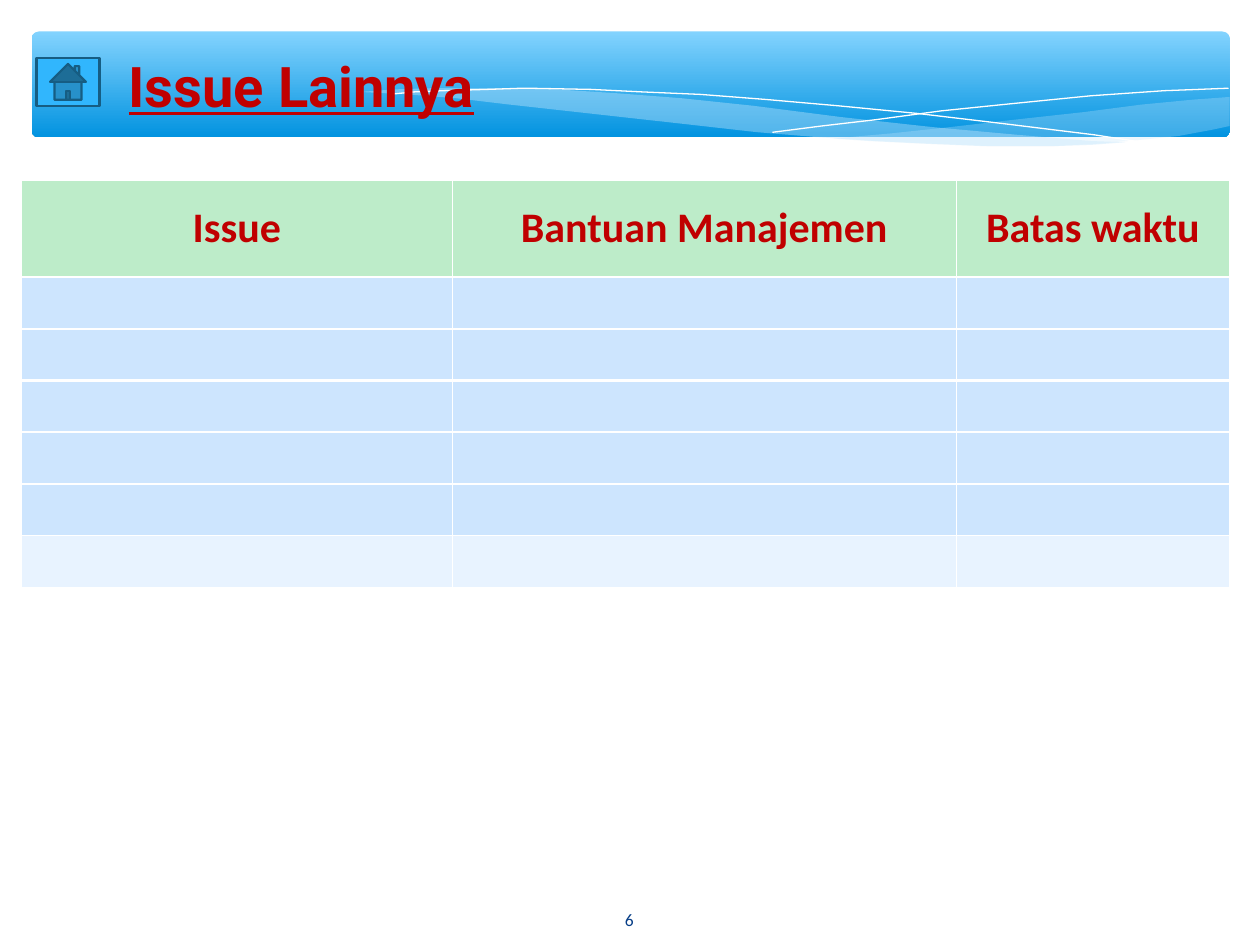
"""Build the "Issue Lainnya" slide: a wave banner, a title and an issue table."""
from lxml import etree
from pptx import Presentation, util as u
from pptx.dml.color import RGBColor
from pptx.enum import shapes, text
from pptx.oxml import ns

COLORS = {
    "sky": "83D3FE", "ocean": "0293E0", "wave": "C6E7FC", "white": "FFFFFF",
    "red": "C00000", "mint": "BDECC9", "row": "CDE5FE", "last_row": "E8F3FF",
    "navy": "073E87", "button": "31B6FD", "button_edge": "165D83",
}
HEADERS = ["Issue", "Bantuan Manajemen", "Batas waktu"]
COLUMN_WIDTHS = [3.42, 4, 2.17]
ROW_HEIGHTS = [0.77] + [0.41] * 6
ROW_FILLS = ["mint"] + ["row"] * 5 + ["last_row"]
THIN, THICK = 0.45, 1.47
RULE_WIDTHS = [THIN] + [THICK] * 5 + [THIN] * 2

RIGHT_WAVE = [
    (9.75, 0.77), (9.48, 0.79), (9.06, 0.83), (8.6, 0.89), (8.05, 0.95), (7.53, 1.01),
    (7.06, 1.06), (6.61, 1.1), (6.91, 1.12), (7.32, 1.14), (7.81, 1.16), (8.34, 1.16),
    (8.72, 1.14), (9.05, 1.11), (9.35, 1.08), (9.62, 1.03), (9.76, 1), (9.76, 0.77),
]
LONG_WAVE = [
    (8.93, 1.13), (8.66, 1.12), (8.07, 1.07), (7.41, 1.01), (6.68, 0.93), (5.98, 0.84),
    (5.41, 0.78), (4.89, 0.74), (4.42, 0.71), (3.99, 0.7), (3.44, 0.7), (3.13, 0.71),
    (2.86, 0.73), (3.23, 0.75), (3.62, 0.78), (4.04, 0.83), (4.49, 0.88), (5.3, 0.97),
    (6.01, 1.05), (6.5, 1.09), (6.95, 1.12), (7.36, 1.14), (7.85, 1.16), (8.38, 1.16),
    (8.67, 1.15),
]
FALLING_LINE = [
    (3.09, 0.75), (3.28, 0.73), (3.53, 0.72), (3.87, 0.71), (4.16, 0.7), (4.69, 0.71),
    (5.1, 0.73), (5.56, 0.75), (6.08, 0.79), (6.65, 0.84), (7.27, 0.9), (7.95, 0.98),
    (8.68, 1.07), (9.07, 1.13),
]
RISING_LINE = [
    (6.13, 1.05), (6.52, 1), (6.95, 0.95), (7.47, 0.88), (8.06, 0.82), (8.66, 0.76),
    (8.95, 0.74), (9.24, 0.72), (9.5, 0.71), (9.75, 0.7),
]


def color(name):
    return RGBColor.from_string(COLORS[name])


def box(left, top, width, height):
    return [u.Inches(length) for length in (left, top, width, height)]


def add_preset(slide, kind, place):
    shape = slide.shapes.add_shape(kind, *box(*place))
    shape.shadow.inherit = False
    return shape


def add_curve(slide, points, closed):
    points = [(u.Inches(x), u.Inches(y)) for x, y in points]
    builder = slide.shapes.build_freeform(*points[0])
    builder.add_line_segments(points[1:], close=closed)
    shape = builder.convert_to_shape()
    shape.shadow.inherit = False
    return shape


def add_wave(slide, points, opacity):
    wave = add_curve(slide, points, True)
    wave.line.fill.background()
    wave.fill.solid()
    wave.fill.fore_color.rgb = color("wave")
    fill_color = wave.element.spPr.find(ns.qn("a:solidFill"))[0]
    etree.SubElement(fill_color, ns.qn("a:alpha"), val=str(opacity * 1000))


def add_wave_line(slide, points):
    curve = add_curve(slide, points, False)
    curve.fill.background()
    curve.line.color.rgb = color("white")
    curve.line.width = u.Pt(0.75)


def add_banner(slide):
    banner = add_preset(slide, shapes.MSO_SHAPE.ROUNDED_RECTANGLE, (0.25, 0.25, 9.51, 0.84))
    banner.adjustments[0] = 0.07
    banner.line.fill.background()
    banner.fill.gradient()
    banner.fill.gradient_angle = 270
    for stop, position, name in zip(banner.fill.gradient_stops, (0, 1), ("sky", "ocean")):
        stop.position = position
        stop.color.rgb = color(name)
    add_wave(slide, RIGHT_WAVE, 29)
    add_wave(slide, LONG_WAVE, 40)
    add_wave_line(slide, FALLING_LINE)
    add_wave_line(slide, RISING_LINE)


def style_paragraph(paragraph, font_name, size, name, bold=False, align=text.PP_ALIGN.CENTER):
    paragraph.alignment = align
    font = paragraph.font
    font.name, font.size, font.bold = font_name, u.Pt(size), bold
    font.color.rgb = color(name)


def add_title(slide, words):
    title = slide.shapes.title
    title.left, title.top, title.width, title.height = box(0.92, 0.36, 7.5, 0.95)
    frame = title.text_frame
    frame.text = words
    frame.vertical_anchor = text.MSO_ANCHOR.TOP
    frame.auto_size = text.MSO_AUTO_SIZE.NONE
    style_paragraph(frame.paragraphs[0], "Roboto", 32, "red", True, text.PP_ALIGN.LEFT)
    frame.paragraphs[0].font.underline = True
    title.element.getparent().append(title.element)


def set_borders(cell, top, bottom):
    properties = cell._tc.get_or_add_tcPr()
    sides = (("lnL", THIN), ("lnR", THIN), ("lnT", top), ("lnB", bottom))
    for index, (side, width) in enumerate(sides):
        line = etree.Element(ns.qn("a:" + side), w=str(u.Pt(width)))
        fill = etree.SubElement(line, ns.qn("a:solidFill"))
        etree.SubElement(fill, ns.qn("a:srgbClr"), val=COLORS["white"])
        properties.insert(index, line)


def add_issue_table(slide):
    place = box(0.17, 1.43, sum(COLUMN_WIDTHS), sum(ROW_HEIGHTS))
    table = slide.shapes.add_table(len(ROW_HEIGHTS), len(COLUMN_WIDTHS), *place).table
    table.horz_banding = False
    for column, width in zip(table.columns, COLUMN_WIDTHS):
        column.width = u.Inches(width)
    for index, row in enumerate(table.rows):
        row.height = u.Inches(ROW_HEIGHTS[index])
        for cell in row.cells:
            cell.fill.solid()
            cell.fill.fore_color.rgb = color(ROW_FILLS[index])
            set_borders(cell, *RULE_WIDTHS[index:index + 2])
    for cell, words in zip(table.rows[0].cells, HEADERS):
        cell.text = words
        cell.vertical_anchor = text.MSO_ANCHOR.MIDDLE
        style_paragraph(cell.text_frame.paragraphs[0], "Calibri", 24, "red", True)


def add_page_number(slide, number):
    frame = slide.shapes.add_textbox(*box(4.36, 7.1, 1.27, 0.4)).text_frame
    frame.word_wrap = True
    frame.vertical_anchor = text.MSO_ANCHOR.MIDDLE
    frame.text = number
    style_paragraph(frame.paragraphs[0], "Calibri", 10, "navy")


def add_home_button(slide):
    button = add_preset(slide, shapes.MSO_SHAPE.ACTION_BUTTON_HOME, (0.29, 0.46, 0.5, 0.38))
    button.fill.solid()
    button.fill.fore_color.rgb = color("button")
    button.line.color.rgb = color("button_edge")
    button.line.width = u.Pt(1.25)


def main():
    presentation = Presentation()
    presentation.slide_width, presentation.slide_height = u.Inches(10), u.Inches(7.5)
    slide = presentation.slides.add_slide(presentation.slide_layouts[5])
    add_banner(slide)
    add_title(slide, "Issue Lainnya")
    add_issue_table(slide)
    add_page_number(slide, "6")
    add_home_button(slide)
    presentation.save("out.pptx")


if __name__ == "__main__":
    main()
